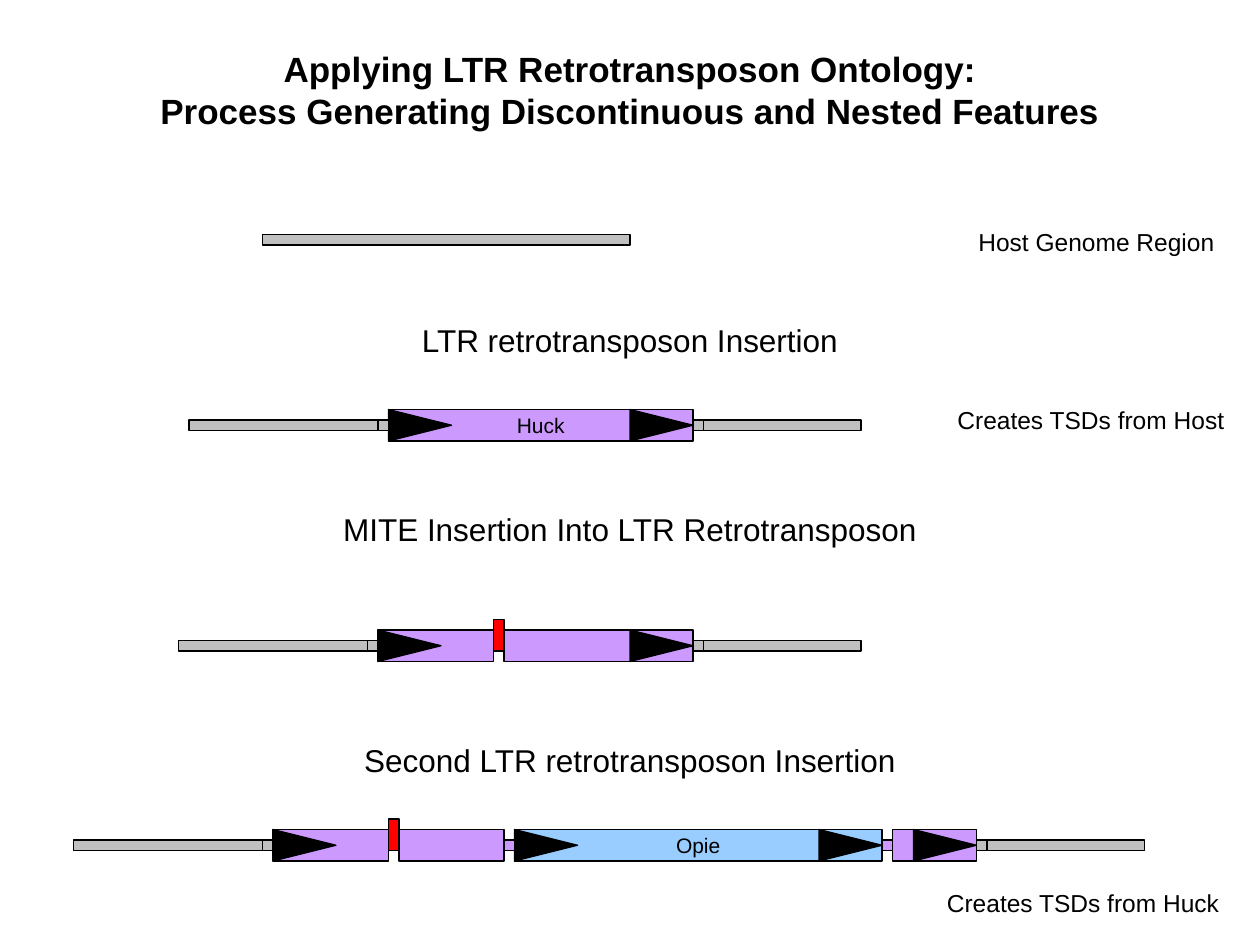
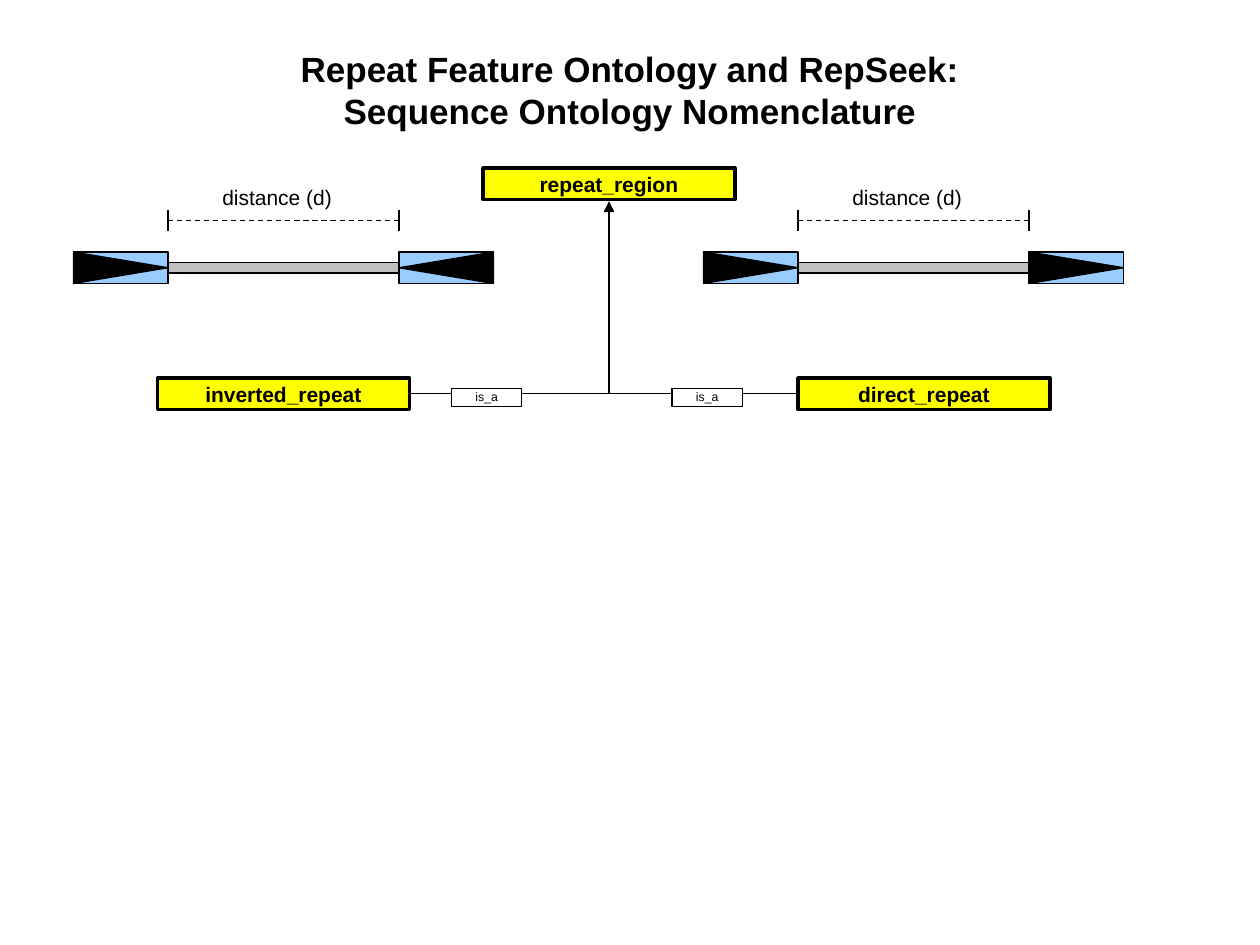
from lxml import etree
from pptx import Presentation
from pptx import util as u
from pptx.dml.color import RGBColor
from pptx.enum import dml, shapes, text
from pptx.oxml.ns import qn

BLACK = RGBColor(0x00, 0x00, 0x00)
WHITE = RGBColor(0xFF, 0xFF, 0xFF)
GREY = RGBColor(0xC0, 0xC0, 0xC0)
PURPLE = RGBColor(0xCC, 0x99, 0xFF)
BLUE = RGBColor(0x99, 0xCC, 0xFF)
RED = RGBColor(0xFF, 0x00, 0x00)
YELLOW = RGBColor(0xFF, 0xFF, 0x00)
FONT = "Arial"
GRID = 12  # every position below is counted in twelfths of an inch
CENTER, LEFT = text.PP_ALIGN.CENTER, text.PP_ALIGN.LEFT
MIDDLE, TOP = text.MSO_ANCHOR.MIDDLE, text.MSO_ANCHOR.TOP


def add_box(page, left, top, width, height, fill=None, words="", size=12, bold=False,
            align=CENTER, anchor=MIDDLE, wrap=False, inset=0.05, border=0.75, turn=None):
    """Add a filled box, a plain text box (no fill) or a triangle (turn in degrees)."""
    kind = shapes.MSO_SHAPE.RECTANGLE
    if turn is not None:
        kind = shapes.MSO_SHAPE.ISOSCELES_TRIANGLE
        shift = (width - height) / 2
        left, top, width, height = left + shift, top - shift, height, width
    place = [u.Inches(value / GRID) for value in (left, top, width, height)]
    if fill is None:
        box = page.shapes.add_textbox(*place)
    else:
        box = page.shapes.add_shape(kind, *place)
        box.shadow.inherit = False
        box.fill.solid()
        box.fill.fore_color.rgb = fill
        box.line.color.rgb = BLACK
        box.line.width = u.Pt(border)
        box.rotation = turn or 0
    if words:
        frame = box.text_frame
        frame.word_wrap = wrap
        if fill is None and not wrap:  # one-line labels grow with their text
            frame.auto_size = text.MSO_AUTO_SIZE.SHAPE_TO_FIT_TEXT
        frame.vertical_anchor = anchor
        frame.margin_top = frame.margin_bottom = u.Inches(inset)
        para = frame.paragraphs[0]
        para.alignment = align
        for number, line in enumerate(words.split("\n")):
            if number:
                para.add_line_break()
            span = para.add_run()
            span.text = line
            span.font.name = FONT
            span.font.size = u.Pt(size)
            span.font.bold = bold
            span.font.color.rgb = BLACK
    return box


def add_line(page, x1, y1, x2, y2, kind=shapes.MSO_CONNECTOR.STRAIGHT):
    ends = [u.Inches(value / GRID) for value in (x1, y1, x2, y2)]
    line = page.shapes.add_connector(kind, *ends)
    line.line.color.rgb = BLACK
    line.line.width = u.Pt(0.75)
    etree.SubElement(line._element.spPr, qn("a:effectLst"))
    return line


deck = Presentation()
deck.slide_width, deck.slide_height = u.Inches(10), u.Inches(7.5)

# Both pages with their titles
TITLES = (
    "Applying LTR Retrotransposon Ontology:\nProcess Generating Discontinuous and Nested Features",
    "Repeat Feature Ontology and RepSeek:\nSequence Ontology Nomenclature",
)
pages = []
for title in TITLES:
    page = deck.slides.add_slide(deck.slide_layouts[6])
    add_box(page, 3, 4, 114, 9, words=title, size=20, bold=True, wrap=True)
    pages.append(page)
insertion_page, repeat_page = pages

# Slide 1: host region before any insertion
add_box(insertion_page, 25, 22.35, 35, 1, GREY)

# Slide 1: step captions and side notes
for top, caption in (
    (30, "LTR retrotransposon Insertion"),
    (48, "MITE Insertion Into LTR Retrotransposon"),
    (70, "Second LTR retrotransposon Insertion"),
):
    add_box(insertion_page, 0, top, 120, 4.8, words=caption, size=18, anchor=TOP, wrap=True)
for left, top, width, note in (
    (92, 21, 25, "Host Genome Region"),
    (90, 38, 28, "Creates TSDs from Host"),
    (89, 84, 28.5, "Creates TSDs from Huck"),
):
    add_box(insertion_page, left, top, width, 4.1, words=note, size=14, align=LEFT, anchor=TOP)

# Slide 1: one row per step: top, host start, host resume, elements, LTR arrows, MITE, inner TSDs
STEPS = (
    (39, 18, 66, [(37, 29, PURPLE, "Huck")], [37, 60], None, []),
    (60, 17, 66, [(36, 11, PURPLE, ""), (48, 18, PURPLE, "")], [36, 60], 47, []),
    (79, 7, 93, [(26, 11, PURPLE, ""), (38, 10, PURPLE, ""), (85, 8, PURPLE, ""),
                 (49, 35, BLUE, "Opie")], [26, 87, 49, 78], 37, [48, 84]),
)
for top, host_start, host_resume, elements, arrows, mite, inner_tsds in STEPS:
    add_box(insertion_page, host_start, top + 1, 19, 1, GREY)
    add_box(insertion_page, host_resume, top + 1, 16, 1, GREY)
    for left, width, color, name in elements:
        add_box(insertion_page, left, top, width, 3, color, name)
    if mite:
        add_box(insertion_page, mite, top - 1, 1, 3, RED)
    for left in arrows:
        add_box(insertion_page, left, top, 6, 3, BLACK, turn=90)
    for left in inner_tsds:
        add_box(insertion_page, left, top + 1, 1, 1, PURPLE)
    for left in (host_start + 18, host_resume):
        add_box(insertion_page, left, top + 1, 1, 1, GREY)

# Slide 2: inverted repeat on the left, direct repeat on the right
for start, second_turn in ((7, 270), (67, 90)):
    gap_start, gap_end = start + 9, start + 31
    for left, turn in ((start, 90), (gap_end, second_turn)):
        add_box(repeat_page, left, 24, 9, 3, BLUE)
        add_box(repeat_page, left, 24, 9, 3, BLACK, turn=turn)
    add_box(repeat_page, gap_start, 25, 22, 1, GREY)
    add_box(repeat_page, start + 13, 17, 13, 3.6, words="distance (d)", align=LEFT, anchor=TOP)
    for x in (gap_start, gap_end):
        add_line(repeat_page, x, 20, x, 22)
    span_line = add_line(repeat_page, gap_start, 21, gap_end, 21)
    span_line.line.dash_style = dml.MSO_LINE.DASH

# Slide 2: ontology terms
for left, top, term in (
    (15, 36, "inverted_repeat"), (76, 36, "direct_repeat"), (46, 16, "repeat_region"),
):
    add_box(repeat_page, left, top, 24, 3, YELLOW, term, bold=True, border=2)

# Slide 2: bent arrows up to the parent term, running along and then up
for ends, rotation in (((39.1, 37.5, 58, 19.2), 0), ((58, 19.2, 75.9, 37.5), 180)):
    arrow = add_line(repeat_page, *ends, kind=shapes.MSO_CONNECTOR.ELBOW)
    properties = arrow._element.spPr
    properties.find(qn("a:prstGeom")).set("prst", "bentConnector2")
    properties.find(qn("a:xfrm")).set("rot", str(rotation * 60000))
    etree.SubElement(properties.find(qn("a:ln")), qn("a:tailEnd"), type="triangle")
for left in (43, 64):
    add_box(repeat_page, left, 37, 6.7, 1.7, WHITE, "is_a", size=7, anchor=TOP, wrap=True, inset=0.01)

deck.save("out.pptx")
